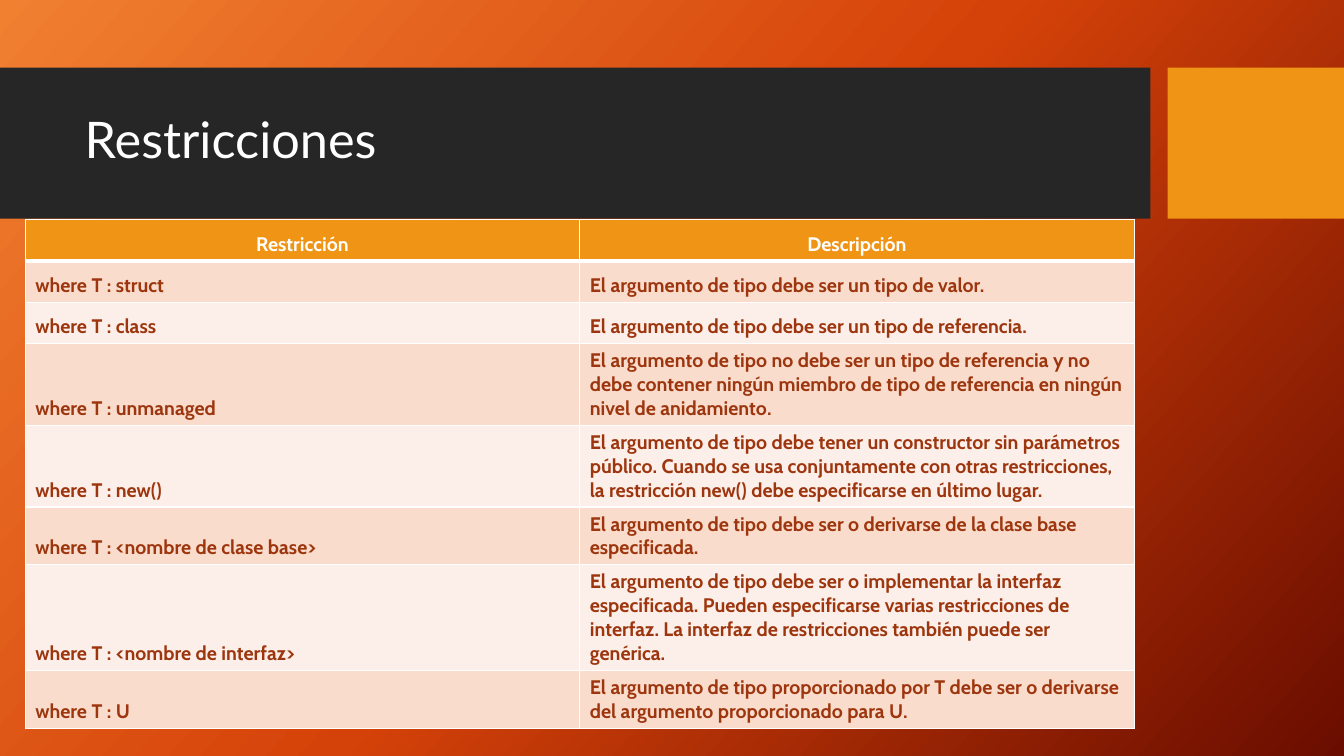
from copy import deepcopy

from pptx import Presentation
from pptx.dml.color import RGBColor
from pptx.enum.shapes import MSO_SHAPE
from pptx.enum.text import MSO_ANCHOR, MSO_AUTO_SIZE, PP_ALIGN
from pptx.oxml import parse_xml
from pptx.oxml.ns import nsdecls, qn
from pptx.util import Inches, Pt

RECTANGLE = MSO_SHAPE.RECTANGLE
MIDDLE, BOTTOM = MSO_ANCHOR.MIDDLE, MSO_ANCHOR.BOTTOM
LEFT, CENTER = PP_ALIGN.LEFT, PP_ALIGN.CENTER
NO_AUTOFIT = MSO_AUTO_SIZE.NONE

COLORS = {
    "white": "FFFFFF",
    "charcoal": "262626",
    "amber": "F09415",
    "rust": "9D360E",
    "peach": "F9DCCC",
    "blush": "FCEEE8",
}
BACKGROUND_STOPS = [(0, "F18031"), (0.5, "D54209"), (1, "6A0D00")]

ROWS = [
    ("Restricción", "Descripción"),
    ("where T : struct", "El argumento de tipo debe ser un tipo de valor."),
    ("where T : class", "El argumento de tipo debe ser un tipo de referencia."),
    ("where T : unmanaged",
     "El argumento de tipo no debe ser un tipo de referencia y no debe contener "
     "ningún miembro de tipo de referencia en ningún nivel de anidamiento."),
    ("where T : new()",
     "El argumento de tipo debe tener un constructor sin parámetros público. "
     "Cuando se usa conjuntamente con otras restricciones, la restricción new() "
     "debe especificarse en último lugar."),
    ("where T : <nombre de clase base>",
     "El argumento de tipo debe ser o derivarse de la clase base especificada."),
    ("where T : <nombre de interfaz>",
     "El argumento de tipo debe ser o implementar la interfaz especificada. "
     "Pueden especificarse varias restricciones de interfaz. La interfaz de "
     "restricciones también puede ser genérica."),
    ("where T : U",
     "El argumento de tipo proporcionado por T debe ser o derivarse del "
     "argumento proporcionado para U."),
]
ROW_HEIGHT = 0.41
COLUMN_WIDTH = 5.5


def add_span(para, text, font, size, color, bold=False):
    span = para.add_run()
    span.text = text
    span.font.name = font
    span.font.size = Pt(size)
    span.font.bold = bold
    span.font.color.rgb = RGBColor.from_string(COLORS[color])


def set_borders(cell, bottom_width):
    """Draw white lines on all four sides, before the fill as the schema asks."""
    properties = cell._tc.get_or_add_tcPr()
    widths = {"lnL": 1, "lnR": 1, "lnT": 1, "lnB": bottom_width}
    for position, (side, width) in enumerate(widths.items()):
        properties.insert(position, parse_xml(
            f'<a:{side} {nsdecls("a")} w="{Pt(width)}"><a:solidFill>'
            f'<a:srgbClr val="{COLORS["white"]}"/></a:solidFill></a:{side}>'))


deck = Presentation()
deck.slide_width = Inches(13.33)
deck.slide_height = Inches(7.5)
page = deck.slides.add_slide(deck.slide_layouts[5])

# Background gradient: the angle counts counter-clockwise
background = page.background.fill
background.gradient()
background.gradient_angle = 360 - 42
stop_list = page.element.find(".//" + qn("a:gsLst"))
stop_list.append(deepcopy(stop_list[-1]))
for stop, (position, color) in zip(background.gradient_stops, BACKGROUND_STOPS):
    stop.position = position
    stop.color.rgb = RGBColor.from_string(color)

# Title on its band
title = page.shapes.title
title.left, title.top = Inches(0.74), Inches(0.82)
title.width, title.height = Inches(10.51), Inches(1.18)
frame = title.text_frame
frame.word_wrap = True
frame.auto_size = NO_AUTOFIT
frame.vertical_anchor = MIDDLE
para = frame.paragraphs[0]
para.alignment = LEFT
para.line_spacing = 0.9
add_span(para, "Restricciones", "Lato", 36, "white")

for left, width, color in [(0, 11.41, "charcoal"), (11.58, 1.75, "amber")]:
    band = page.shapes.add_shape(
        RECTANGLE, Inches(left), Inches(0.67), Inches(width), Inches(1.5))
    band.shadow.inherit = False
    band.fill.solid()
    band.fill.fore_color.rgb = RGBColor.from_string(COLORS[color])
    band.line.fill.background()
    title.element.addprevious(band.element)

# Table of constraints
table = page.shapes.add_table(
    len(ROWS), 2, Inches(0.25), Inches(2.18),
    Inches(2 * COLUMN_WIDTH), Inches(len(ROWS) * ROW_HEIGHT)).table
for row_index, texts in enumerate(ROWS):
    is_header = row_index == 0
    if is_header:
        fill_color = "amber"
    else:
        fill_color = "peach" if row_index % 2 else "blush"
    for column_index, text in enumerate(texts):
        cell = table.cell(row_index, column_index)
        cell.vertical_anchor = BOTTOM
        cell.fill.solid()
        cell.fill.fore_color.rgb = RGBColor.from_string(COLORS[fill_color])
        set_borders(cell, 3 if is_header else 1)
        para = cell.text_frame.paragraphs[0]
        para.alignment = CENTER if is_header else LEFT
        add_span(para, text, "Cabin", 14, "white" if is_header else "rust", bold=True)

deck.save("out.pptx")
